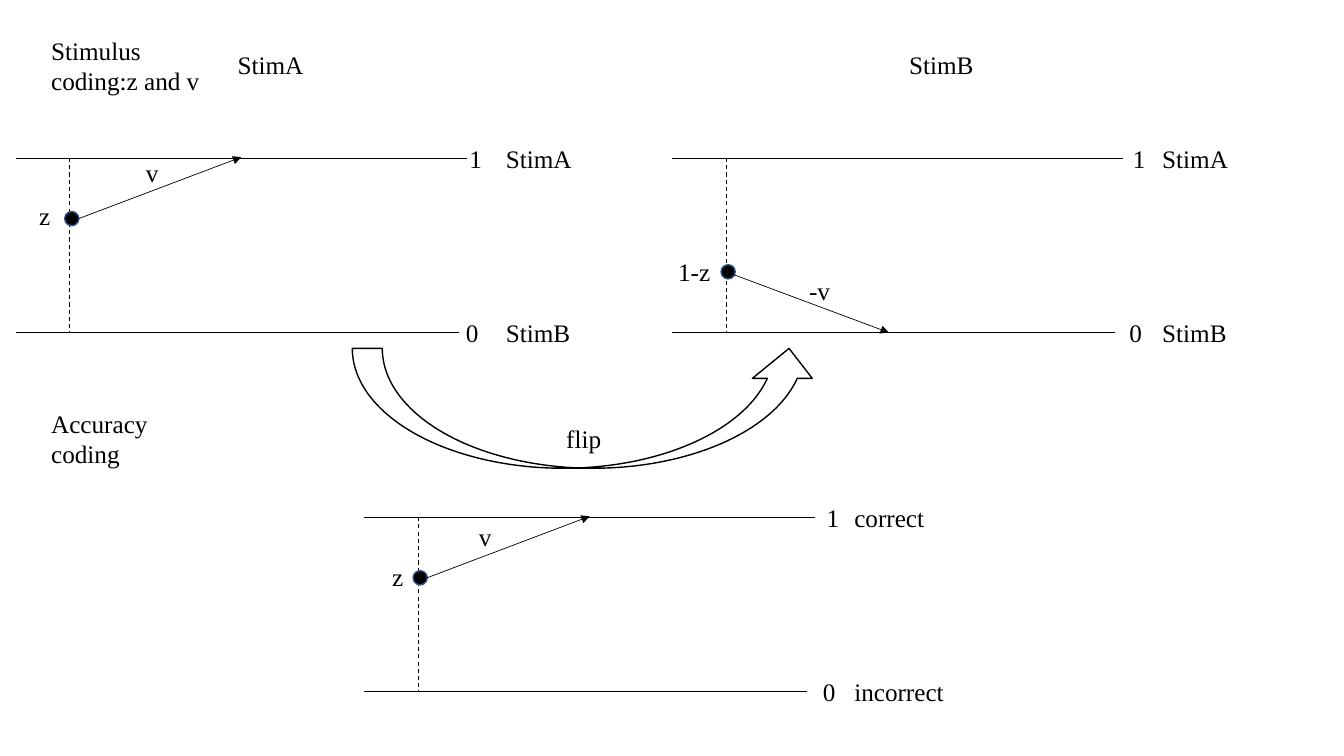
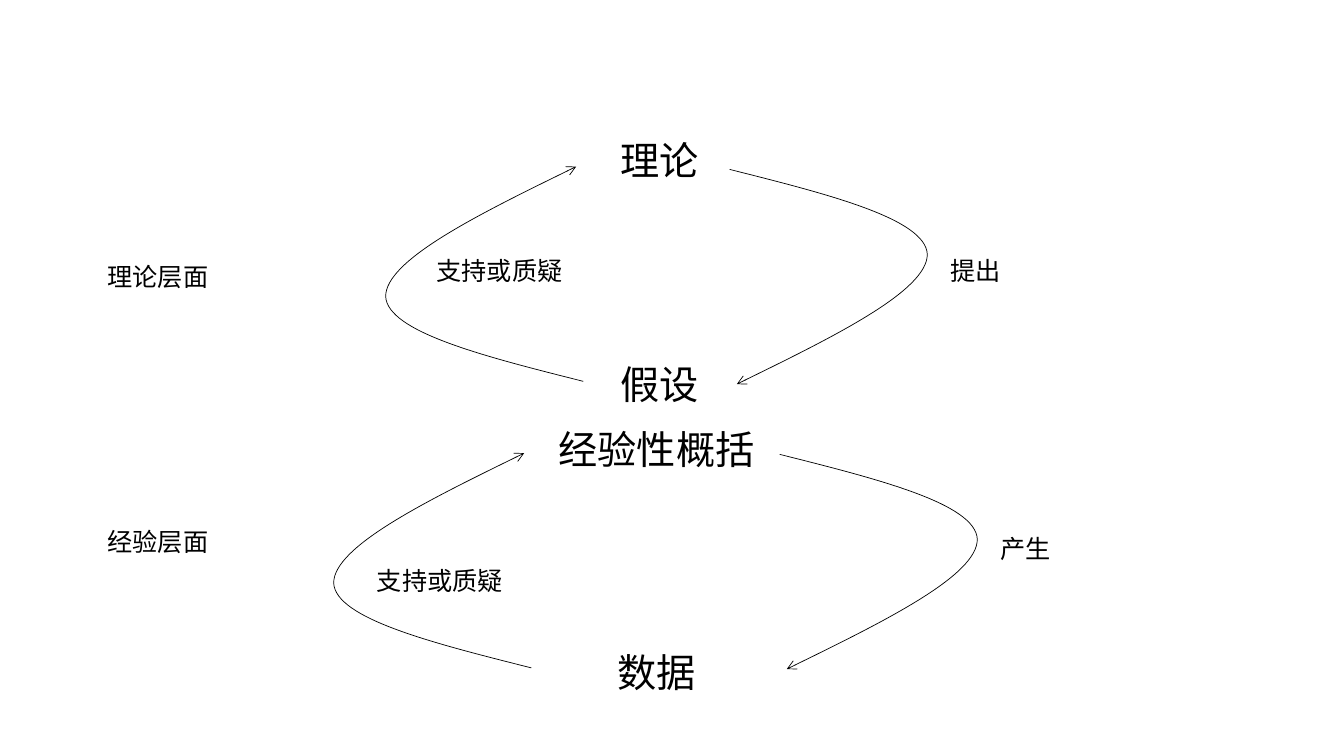
from pptx import Presentation
from pptx.dml.color import RGBColor
from pptx.enum.dml import MSO_LINE
from pptx.enum.shapes import MSO_CONNECTOR, MSO_SHAPE
from pptx.enum.text import MSO_AUTO_SIZE
from pptx.oxml.ns import qn
from pptx.util import Cm, Pt
from lxml.etree import SubElement

COLORS = {"ink": "000000", "dot_edge": "325491"}
LATIN, CJK = "Times New Roman", "Noto Sans CJK SC"
LABEL_HEIGHT, HEADING_HEIGHT = 1.02, 1.45


def color(name):
    return RGBColor.from_string(COLORS[name])


# Shared parts
def add_label(slide, text, left, top, width, font=LATIN, size=18, height=LABEL_HEIGHT):
    box = slide.shapes.add_textbox(Cm(left), Cm(top), Cm(width), Cm(height))
    frame = box.text_frame
    frame.word_wrap = True
    frame.auto_size = MSO_AUTO_SIZE.SHAPE_TO_FIT_TEXT
    frame.text = text
    run = frame.paragraphs[0].runs[0]
    run.font.name = font
    run.font.size = Pt(size)
    run.font.color.rgb = color("ink")
    SubElement(run.font._element, qn("a:ea"), typeface=font)


def style_line(line, width, edge="ink", head=None):
    line.color.rgb = color(edge)
    line.width = Pt(width)
    if head:
        SubElement(line._get_or_add_ln(), qn("a:tailEnd"), type=head)


def add_line(slide, start, end, width=0.5, dash=None, head=None):
    link = slide.shapes.add_connector(
        MSO_CONNECTOR.STRAIGHT, *(Cm(value) for value in (*start, *end)))
    style_line(link.line, width, head=head)
    if dash:
        link.line.dash_style = dash
    SubElement(link._element.spPr, qn("a:effectLst"))


# Slide 1: one drift diagram between two decision boundaries
def add_drift_panel(slide, left, top, outcomes, start_label, drift_label,
                    start_at, drift_at, digit_x, flipped=False):
    gap, start_x, depth, dot_size = 4.4, left + 1.36, 1.53, 0.36
    bottom = top + gap

    # Boundaries with their values and outcomes
    for row, (digit, outcome) in enumerate(zip("10", outcomes)):
        y = top + row * gap
        add_line(slide, (left, y), (left + 11.37 - 0.2 * row, y))
        add_label(slide, digit, left + digit_x - 0.09 * row, y - 0.5, 1.37)
        add_label(slide, outcome, left + 12.1, y - 0.5, 3.96)
    add_line(slide, (start_x, top), (start_x, bottom), 0.75, MSO_LINE.DASH)

    # Starting point
    dot_y = bottom - depth if flipped else top + depth
    dot = slide.shapes.add_shape(
        MSO_SHAPE.OVAL, Cm(left + 1.23), Cm(dot_y - dot_size / 2), Cm(dot_size), Cm(dot_size))
    dot.shadow.inherit = False
    dot.fill.solid()
    dot.fill.fore_color.rgb = color("ink")
    style_line(dot.line, 1, "dot_edge")

    # Drift towards a boundary
    drift_x = start_x if flipped else start_x + 0.22
    add_line(slide, (drift_x, dot_y), (drift_x + 4.1, bottom if flipped else top - 0.02),
             head="triangle")
    add_label(slide, start_label, left + start_at[0], top + start_at[1], 1.37)
    add_label(slide, drift_label, left + drift_at[0], top + drift_at[1], 1.37)


def add_flip_arrow(slide, left, top, width, height):
    arrow = slide.shapes.add_shape(
        MSO_SHAPE.CURVED_UP_ARROW, Cm(left), Cm(top), Cm(width), Cm(height))
    arrow.shadow.inherit = False
    arrow.fill.background()
    style_line(arrow.line, 1)
    add_label(slide, "flip", left + 5.14, top + 1.76, 2.82)


def build_coding_slide(slide):
    add_label(slide, "Stimulus coding:z and v", 1.04, 0.76, 4.7, height=1.8)
    add_label(slide, "Accuracy coding", 1.04, 10.16, 3.96, height=1.8)
    add_label(slide, "StimA", 5.74, 1.12, 3.96)
    add_label(slide, "StimB", 22.66, 1.12, 3.96)
    stimuli = ("StimA", "StimB")
    add_drift_panel(slide, 0.4, 3.98, stimuli, "z", "v",
                    (0.34, 0.95), (3.03, -0.14), 11.18)
    add_drift_panel(slide, 16.94, 3.98, stimuli, "1-z", "-v",
                    (-0.1, 2.35), (3.2, 2.83), 11.36, flipped=True)
    add_drift_panel(slide, 9.18, 13.03, ("correct", "incorrect"), "z", "v",
                    (0.45, 1), (2.64, -0.03), 11.4)
    add_flip_arrow(slide, 8.88, 8.78, 11.76, 3.02)


# Slide 2: cycles of two curved arrows; each curve is two Bezier pieces
CURVE = [(2.46, 0.62), (4.94, 1.24), (4.98, 2.14),
         (4.98, 3.04), (2.6, 4.23), (0.18, 5.41)]


def add_curved_arrow(slide, x, y, direction):
    """Draw the curve down the right (1) or, turned half round, up the left (-1)."""
    builder = slide.shapes.build_freeform(Cm(x), Cm(y))
    builder.add_line_segments(
        [(Cm(x + direction * dx), Cm(y + direction * dy)) for dx, dy in CURVE], close=False)
    curve = builder.convert_to_shape()

    # Every three segments become one cubic Bezier piece
    outline = next(curve._element.iter(qn("a:path")))
    segments = outline.findall(qn("a:lnTo"))
    for first in range(0, len(segments), 3):
        piece = SubElement(outline, qn("a:cubicBezTo"))
        for segment in segments[first:first + 3]:
            piece.append(segment[0])
            outline.remove(segment)

    curve.shadow.inherit = False
    curve.fill.background()
    style_line(curve.line, 0.5, head="arrow")


def add_cycle(slide, down_from, up_from, headings, notes):
    add_curved_arrow(slide, *down_from, 1)
    add_curved_arrow(slide, *up_from, -1)
    for text, left, top, width in headings:
        add_label(slide, text, left, top, width, CJK, 28, HEADING_HEIGHT)
    for text, left, top in notes:
        add_label(slide, text, left, top, 4.98, CJK)


def build_theory_slide(slide):
    add_cycle(slide, (18.39, 4.27), (14.7, 9.61),
              [("理论", 15.38, 3.3, 2.69), ("假设", 15.38, 8.96, 2.69)],
              [("理论层面", 2.46, 6.45), ("支持或质疑", 10.75, 6.32), ("提出", 23.7, 6.3)])
    add_cycle(slide, (19.65, 11.45), (13.39, 16.83),
              [("经验性概括", 13.83, 10.59, 6.99), ("数据", 15.31, 16.21, 2.69)],
              [("经验层面", 2.46, 13.13), ("支持或质疑", 9.25, 14.12), ("产生", 24.96, 13.31)])


deck = Presentation()
deck.slide_width, deck.slide_height = Cm(33.87), Cm(19.05)
blank = deck.slide_layouts[6]
for build in (build_coding_slide, build_theory_slide):
    build(deck.slides.add_slide(blank))
deck.save("out.pptx")
